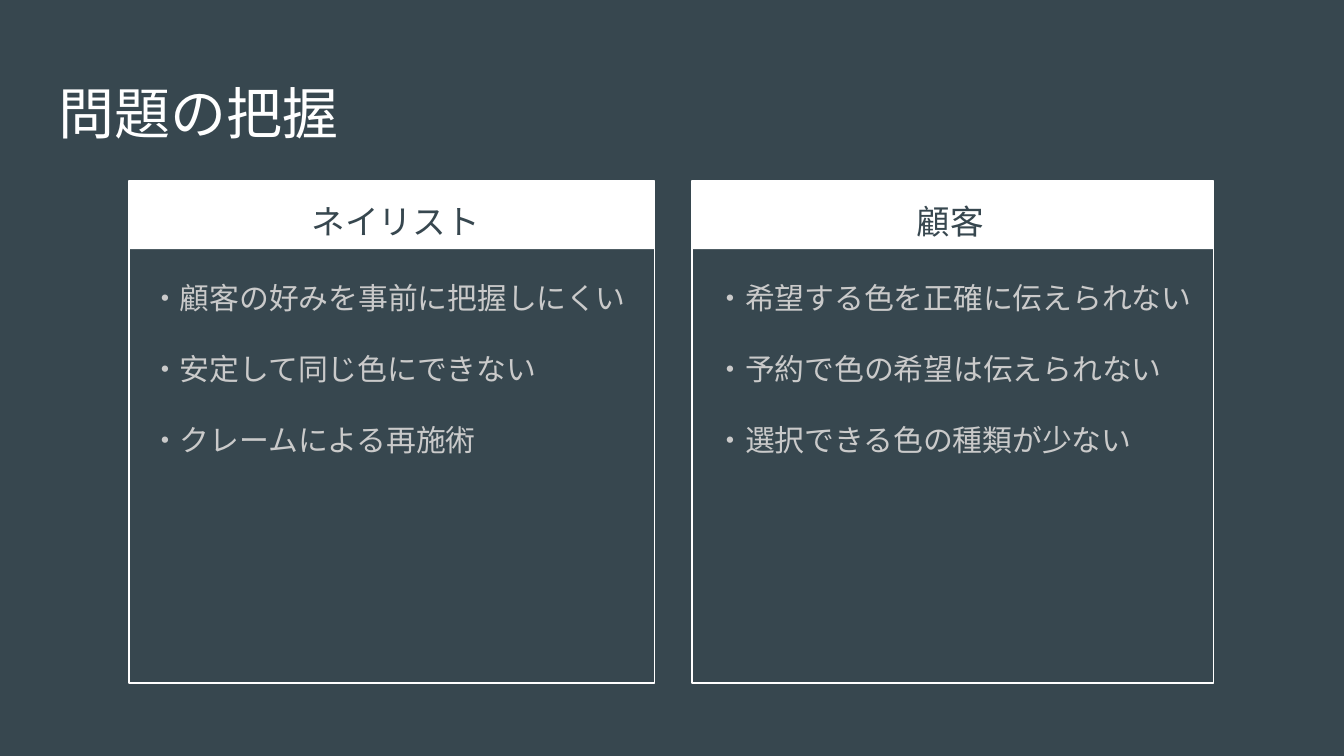
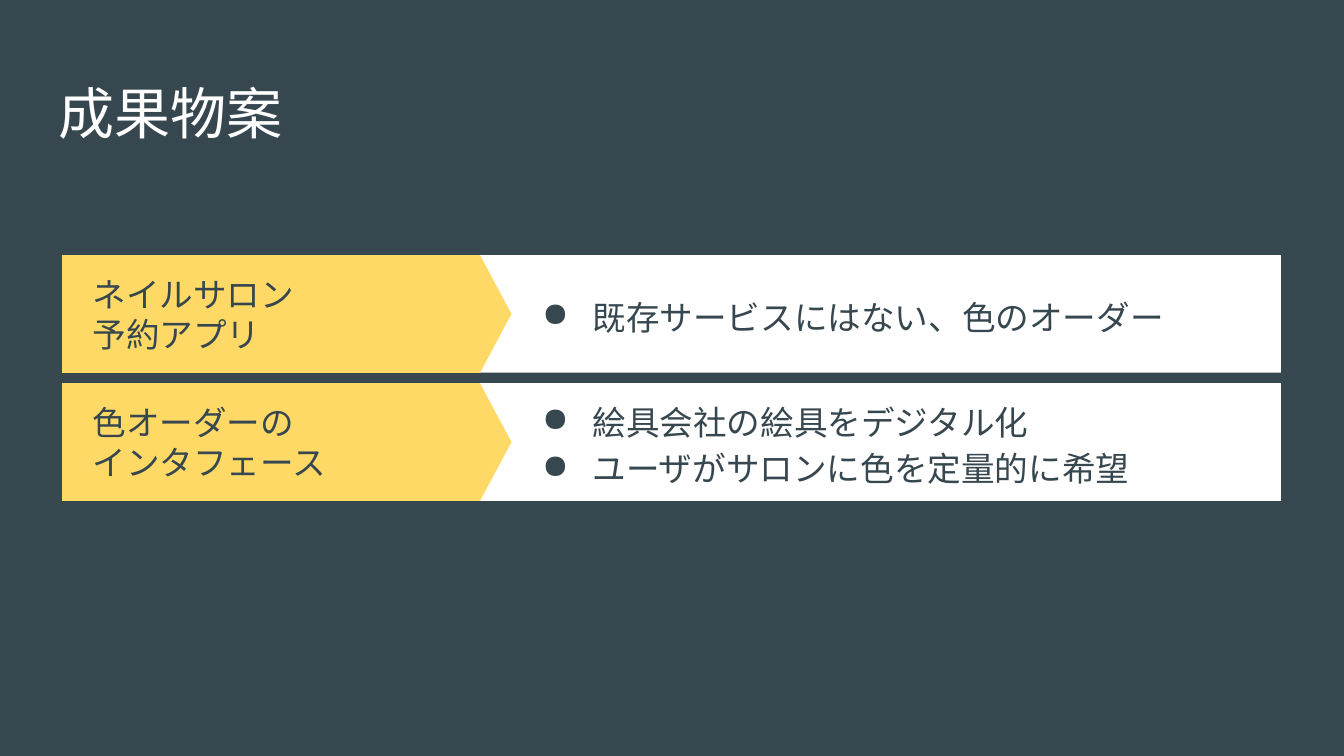
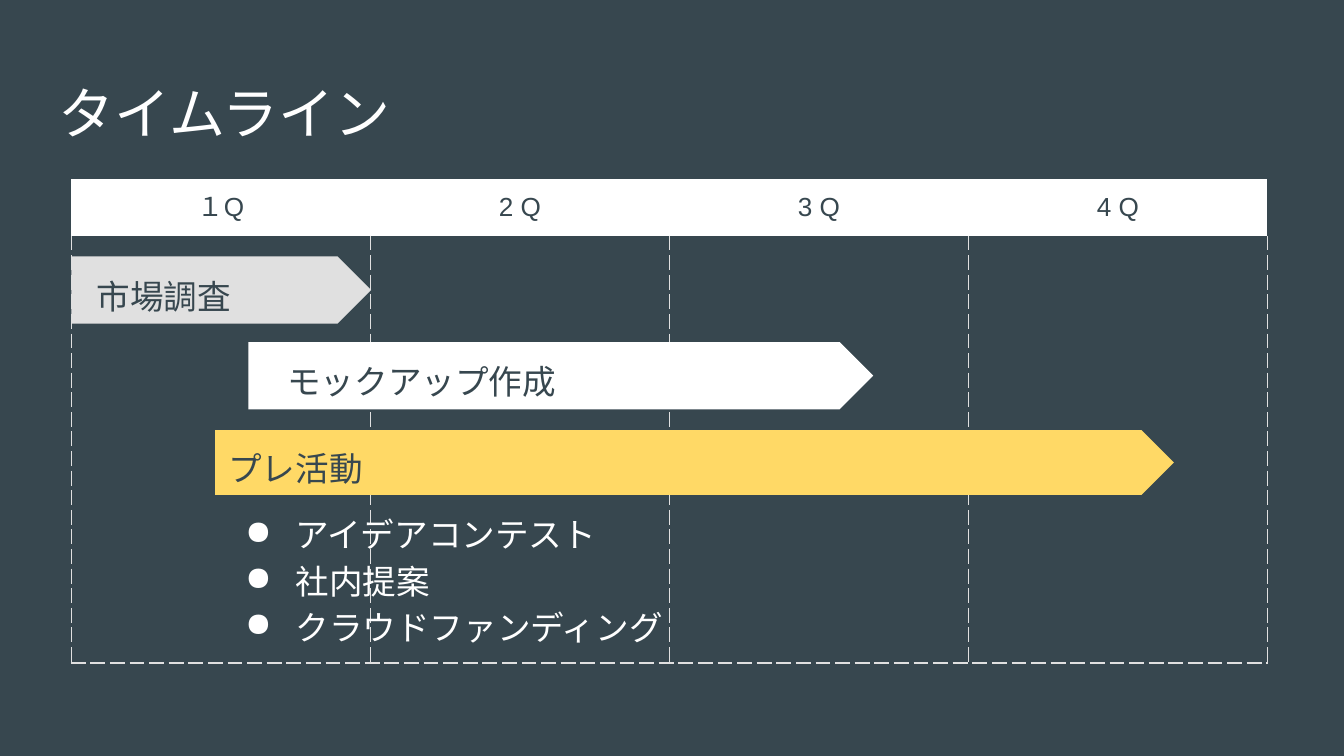
"""Build three dark slides on a nail salon project: problems, deliverables and timeline."""
import pptx
import pptx.dml.color
import pptx.enum.shapes
import pptx.enum.text
import pptx.oxml
import pptx.oxml.ns
import pptx.util

Pt = pptx.util.Pt
RGB = pptx.dml.color.RGBColor.from_string
SHAPE = pptx.enum.shapes.MSO_SHAPE
ALIGN = pptx.enum.text.PP_ALIGN
ANCHOR = pptx.enum.text.MSO_ANCHOR
qn = pptx.oxml.ns.qn
nsdecls = pptx.oxml.ns.nsdecls

COLORS = {
    "slate": "37474F",
    "white": "FFFFFF",
    "silver": "CACACA",
    "mist": "E0E0E0",
    "yellow": "FFD966",
}
FONT = "Noto Sans CJK JP"
INSET = Pt(7.2)
NO_TABLE_STYLE = "{2D5ABB26-0587-4C30-8999-92F81FD0307C}"


def write_text(text, slide=None, box=None, frame=None, size=18, color="slate", font=FONT,
               align=None, anchor=ANCHOR.TOP, spacing=None, gap=None, bullet=False):
    """Write one paragraph per line, in a new text box unless a frame is given."""
    if frame is None:
        frame = slide.shapes.add_textbox(*map(Pt, box)).text_frame
        frame.word_wrap = True
        frame.auto_size = pptx.enum.text.MSO_AUTO_SIZE.NONE
        frame.vertical_anchor = anchor
        frame.margin_left = frame.margin_right = INSET
        frame.margin_top = frame.margin_bottom = INSET
    frame.text = text
    for number, paragraph in enumerate(frame.paragraphs):
        paragraph.alignment = align
        paragraph.line_spacing = spacing
        if gap and number:
            paragraph.space_before = Pt(gap)
        if bullet:
            properties = paragraph._p.get_or_add_pPr()
            properties.set("marL", str(Pt(36)))
            properties.set("indent", str(-Pt(27)))
            properties.append(pptx.oxml.parse_xml(
                f'<a:buClr {nsdecls("a")}><a:srgbClr val="{COLORS[color]}"/></a:buClr>'))
            properties.append(pptx.oxml.parse_xml(f'<a:buChar {nsdecls("a")} char="●"/>'))
        for run in paragraph.runs:
            run.font.size = Pt(size)
            run.font.name = font
            run.font.color.rgb = RGB(COLORS[color])
            run.font._element.find(qn("a:latin")).addnext(pptx.oxml.parse_xml(
                f'<a:ea {nsdecls("a")} typeface="{font}"/>'))


def add_block(slide, kind, box, fill=None, line=None, point=None):
    """Add a flat preset shape with an optional fill, outline and arrow point."""
    block = slide.shapes.add_shape(kind, *map(Pt, box))
    block.shadow.inherit = False
    if fill:
        block.fill.solid()
        block.fill.fore_color.rgb = RGB(COLORS[fill])
    else:
        block.fill.background()
    if line:
        block.line.color.rgb = RGB(COLORS[line])
        block.line.width = Pt(0.75)
    else:
        block.line.fill.background()
    if point:
        block.adjustments[0] = point


deck = pptx.Presentation()
deck.slide_width, deck.slide_height = Pt(720), Pt(405)

slides = []
for title in ("問題の把握", "成果物案", "タイムライン"):
    slide = deck.slides.add_slide(deck.slide_layouts[6])
    slide.background.fill.solid()
    slide.background.fill.fore_color.rgb = RGB(COLORS["slate"])
    slides.append(slide)
problems, deliverables, timeline = slides

write_text("問題の把握", problems, (24.5, 35, 671, 45.4), size=30, color="white")
write_text("成果物案", deliverables, (24.5, 35, 671, 45.4), size=30, color="white")

columns = [
    (69.2, 281.4, 73.4, 277.2, "ネイリスト",
     "・顧客の好みを事前に把握しにくい\n・安定して同じ色にできない\n・クレームによる再施術"),
    (370.8, 279.4, 376.2, 265.7, "顧客",
     "・希望する色を正確に伝えられない\n・予約で色の希望は伝えられない\n・選択できる色の種類が少ない"),
]
for left, width, text_left, heading_width, heading, issues in columns:
    add_block(problems, SHAPE.RECTANGLE, (left, 97, width, 36.5), fill="white")
    add_block(problems, SHAPE.RECTANGLE, (left, 97, width, 269), line="white")
    write_text(heading, problems, (text_left, 97, heading_width, 36),
               align=ALIGN.CENTER, spacing=1.15)
    write_text(issues, problems, (text_left, 139.7, 273.6, 220.3),
               size=16, color="silver", spacing=1.15, gap=16)

proposals = [
    ("ネイルサロン\n予約アプリ", "既存サービスにはない、色のオーダー"),
    ("色オーダーの\nインタフェース", "絵具会社の絵具をデジタル化\nユーザがサロンに色を定量的に希望"),
]
for row, (product, features) in enumerate(proposals):
    top, height = 136.7 + 68.6 * row, 63
    add_block(deliverables, SHAPE.RECTANGLE, (230.4, top, 455.8, height), fill="white")
    add_block(deliverables, SHAPE.PENTAGON, (33.3, top, 240.7, height),
              fill="yellow", point=0.267)
    write_text(product, deliverables, (42.5, top, 190.8, height), anchor=ANCHOR.MIDDLE)
    write_text(features, deliverables, (274.3, top, 402.5, height),
               anchor=ANCHOR.MIDDLE, spacing=1.15, bullet=True)

quarters = ["１Q", "2 Q", "3 Q", "4 Q"]
calendar = timeline.shapes.add_table(2, len(quarters), Pt(38.2), Pt(96), Pt(640.8), Pt(257.8))
calendar.element.find(".//" + qn("a:tableStyleId")).text = NO_TABLE_STYLE
calendar.table.first_row = calendar.table.horz_banding = False
calendar.table.rows[0].height = Pt(28.8)
calendar.table.rows[1].height = Pt(229)
for index, quarter in enumerate(quarters):
    calendar.table.columns[index].width = Pt(160.2)
    heading, period = (calendar.table.cell(row, index) for row in range(2))
    for cell in (heading, period):
        cell.margin_left = cell.margin_right = INSET
        cell.margin_top = cell.margin_bottom = INSET
    heading.fill.solid()
    heading.fill.fore_color.rgb = RGB(COLORS["white"])
    write_text(quarter, frame=heading.text_frame, size=14, font="Arial", align=ALIGN.CENTER)
    period.fill.background()
    for order, side in enumerate("LRB"):
        period._tc.get_or_add_tcPr().insert(order, pptx.oxml.parse_xml(
            f'<a:ln{side} {nsdecls("a")} w="{Pt(0.75)}"><a:solidFill>'
            f'<a:srgbClr val="{COLORS["mist"]}"/></a:solidFill>'
            f'<a:prstDash val="dash"/></a:ln{side}>'))

write_text("タイムライン", timeline, (24.5, 35, 671, 45.4), size=30, color="white")

add_block(timeline, SHAPE.PENTAGON, (38.2, 137.4, 160.6, 36), fill="mist", point=0.5)
write_text("市場調査", timeline, (44.6, 137.4, 133.2, 36), spacing=1.15)

add_block(timeline, SHAPE.PENTAGON, (133, 183.3, 334.8, 36), fill="white", point=0.5)
write_text("モックアップ作成", timeline, (146.9, 183, 306.7, 36), spacing=1.15)

add_block(timeline, SHAPE.PENTAGON, (115.2, 230.4, 370, 34.8), fill="yellow", point=0.5)
for step in range(3):
    add_block(timeline, SHAPE.CHEVRON, (460.8 + 47.7 * step, 230.4, 72.7, 34.8),
              fill="yellow", point=0.5)
write_text("プレ活動", timeline, (115.2, 229.8, 384.5, 36), font="Arial", spacing=1.15)
write_text("アイデアコンテスト\n社内提案\nクラウドファンディング", timeline,
           (115.2, 265, 270, 79.2), color="white", spacing=1.15, bullet=True)

deck.save("out.pptx")
